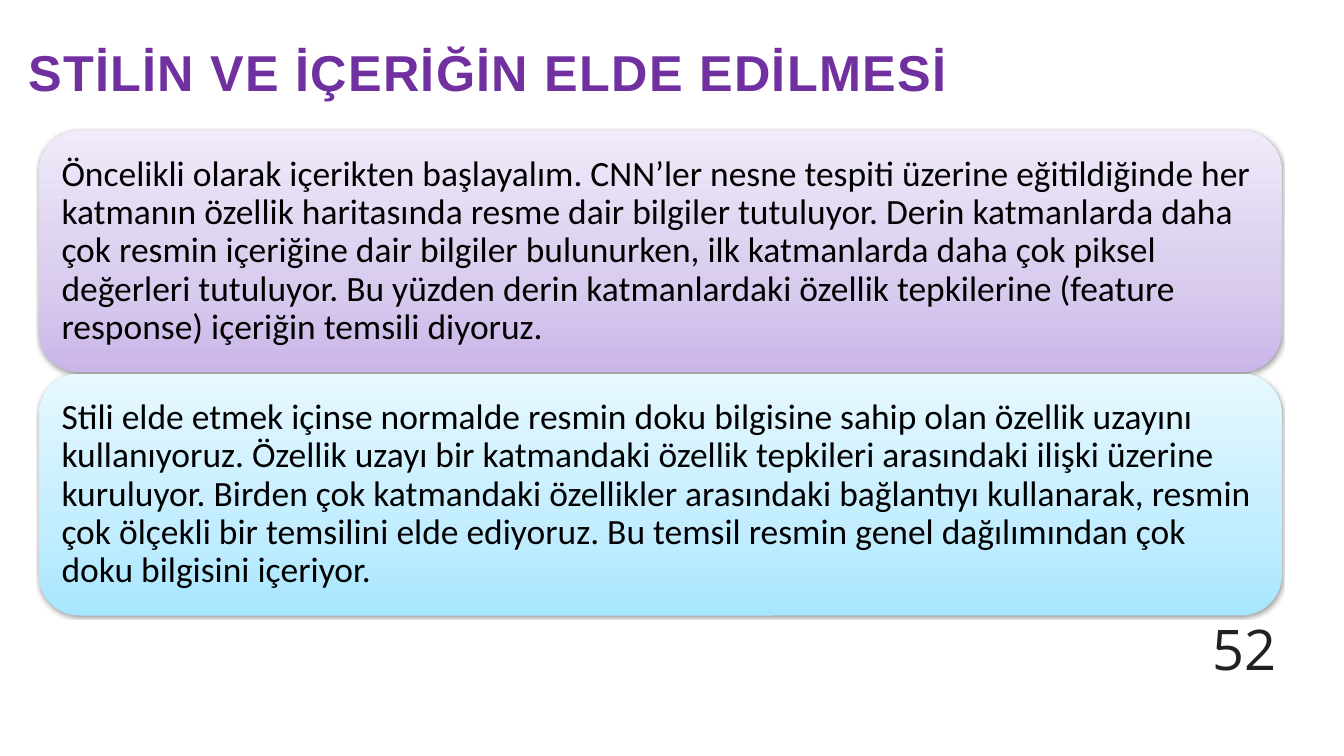
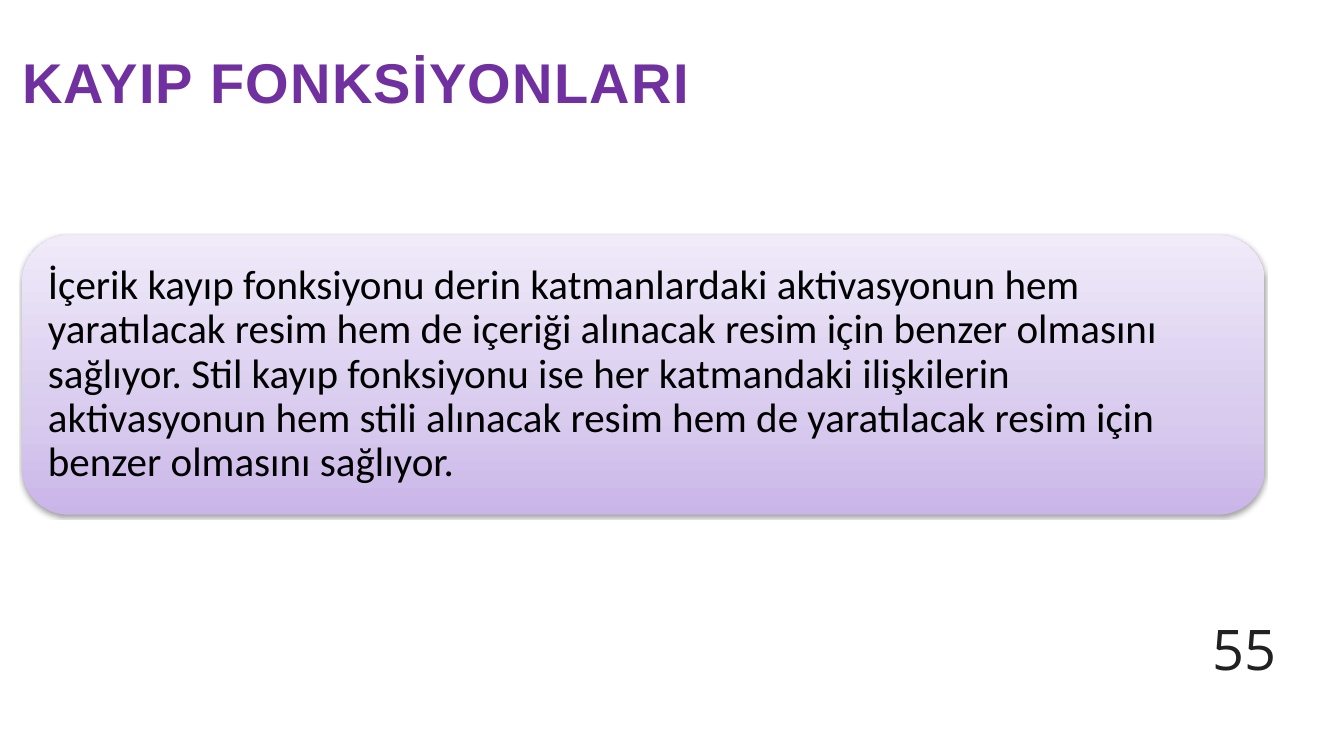
from lxml import etree
from pptx import Presentation
from pptx.dml.color import RGBColor
from pptx.enum.shapes import MSO_SHAPE
from pptx.enum.text import MSO_ANCHOR, MSO_AUTO_SIZE, PP_ALIGN
from pptx.oxml import parse_xml
from pptx.oxml.ns import nsdecls, qn
from pptx.util import Inches, Pt

ROUNDED = MSO_SHAPE.ROUNDED_RECTANGLE
TOP, MIDDLE = MSO_ANCHOR.TOP, MSO_ANCHOR.MIDDLE
LEFT = PP_ALIGN.LEFT
GROW, FIXED = MSO_AUTO_SIZE.SHAPE_TO_FIT_TEXT, MSO_AUTO_SIZE.NONE

# Shared look: gradients run from the bottom of a panel to its top
PURPLE, BLACK, DARK = "7030A0", "000000", "212121"
LILAC = ((0, "C9B5E8"), (35, "D8CBEE"), (100, "F0EAF9"))
SKY = ((0, "A7E6FF"), (35, "C1EDFF"), (100, "E7F8FF"))
TITLE_W, PANEL_W, PANEL_GAP = 17.95, 18.49, 0.02
NUMBER_BOX = (17.94, 9.48, 1.83, 0.79)

# Content
SLIDES = [
    {
        "title": "STİLİN VE İÇERİĞİN ELDE EDİLMESİ",
        "title_box": (0.42, 0.52, TITLE_W, 0.92),
        "title_size": 54,
        "panel_at": (0.58, 1.94),
        "panel_height": 3.6,
        "panel_inset": 0.16,
        "panel_size": 38,
        "panels": [
            (LILAC, "Öncelikli olarak içerikten başlayalım. CNN’ler nesne tespiti "
             "üzerine eğitildiğinde her katmanın özellik haritasında resme dair "
             "bilgiler tutuluyor. Derin katmanlarda daha çok resmin içeriğine dair "
             "bilgiler bulunurken, ilk katmanlarda daha çok piksel değerleri "
             "tutuluyor. Bu yüzden derin katmanlardaki özellik tepkilerine (feature "
             "response) içeriğin temsili diyoruz."),
            (SKY, "Stili elde etmek içinse normalde resmin doku bilgisine sahip olan "
             "özellik uzayını kullanıyoruz. Özellik uzayı bir katmandaki özellik "
             "tepkileri arasındaki ilişki üzerine kuruluyor. Birden çok katmandaki "
             "özellikler arasındaki bağlantıyı kullanarak, resmin çok ölçekli bir "
             "temsilini elde ediyoruz. Bu temsil resmin genel dağılımından çok doku "
             "bilgisini içeriyor."),
        ],
        "number": "52",
    },
    {
        "title": "KAYIP FONKSİYONLARI",
        "title_box": (0.33, 0.71, TITLE_W, 1.92),
        "title_size": 60,
        "panel_at": (0.33, 3.5),
        "panel_height": 4.16,
        "panel_inset": 0.18,
        "panel_size": 44,
        "panels": [
            (LILAC, "İçerik kayıp fonksiyonu derin katmanlardaki aktivasyonun hem "
             "yaratılacak resim hem de içeriği alınacak resim için benzer olmasını "
             "sağlıyor. Stil kayıp fonksiyonu ise her katmandaki ilişkilerin "
             "aktivasyonun hem stili alınacak resim hem de yaratılacak resim için "
             "benzer olmasını sağlıyor."),
        ],
        "number": "55",
    },
]


def color(hex_value):
    return RGBColor.from_string(hex_value)


def inches(box):
    return [Inches(length) for length in box]


def write(holder, text, *, font, size, ink, spacing, bold=False, tracking=None,
          anchor=TOP, insets=(0.1, 0.05), grow=GROW):
    frame = holder.text_frame
    frame.word_wrap = True
    frame.auto_size = grow
    frame.vertical_anchor = anchor
    frame.margin_left = frame.margin_right = Inches(insets[0])
    frame.margin_top = frame.margin_bottom = Inches(insets[1])
    paragraph = frame.paragraphs[0]
    paragraph.alignment = LEFT
    paragraph.line_spacing = spacing
    run = paragraph.add_run()
    run.text = text
    run.font.name, run.font.size, run.font.bold = font, Pt(size), bold
    run.font.color.rgb = color(ink)
    if tracking:
        run.font._element.set("spc", str(round(tracking * 100)))


def add_title(slide, text, box, size):
    title = slide.shapes.title
    title.left, title.top, title.width, title.height = inches(box)
    write(title, text, font="Arial", size=size, ink=PURPLE, bold=True,
          tracking=1.4, spacing=Pt(71.5), insets=(0, 0))


def add_panel(slide, text, box, stops, size, inset):
    panel = slide.shapes.add_shape(ROUNDED, *inches(box))
    panel.line.fill.background()
    # Three-stop gradient
    panel.fill.gradient()
    panel.fill.gradient_angle = 90
    stop_list = panel._element.spPr.find(".//" + qn("a:gsLst"))
    for old_stop in list(stop_list):
        stop_list.remove(old_stop)
    for position, tint in stops:
        stop = etree.SubElement(stop_list, qn("a:gs"), pos=str(position * 1000))
        etree.SubElement(stop, qn("a:srgbClr"), val=tint)
    # Soft shadow below
    panel._element.spPr.append(parse_xml(
        f'<a:effectLst {nsdecls("a")}>'
        f'<a:outerShdw blurRad="{Pt(3.1)}" dist="{Pt(1.6)}" dir="5400000" rotWithShape="0">'
        f'<a:srgbClr val="{BLACK}"><a:alpha val="38000"/></a:srgbClr>'
        '</a:outerShdw></a:effectLst>'))
    write(panel, text, font="Calibri", size=size, ink=BLACK, spacing=0.9,
          anchor=MIDDLE, insets=(inset, inset), grow=FIXED)


def add_number(slide, number):
    number_box = slide.shapes.add_textbox(*inches(NUMBER_BOX))
    write(number_box, number, font="Open Sans", size=60, ink=DARK, spacing=Pt(44.8))


def main():
    deck = Presentation()
    deck.slide_width, deck.slide_height = Inches(20), Inches(11.25)
    title_only = deck.slide_layouts[5]
    for content in SLIDES:
        slide = deck.slides.add_slide(title_only)
        add_title(slide, content["title"], content["title_box"], content["title_size"])
        left, top = content["panel_at"]
        height = content["panel_height"]
        for row, (stops, text) in enumerate(content["panels"]):
            box = (left, top + row * (height + PANEL_GAP), PANEL_W, height)
            add_panel(slide, text, box, stops, content["panel_size"],
                      content["panel_inset"])
        add_number(slide, content["number"])
    deck.save("out.pptx")


if __name__ == "__main__":
    main()
